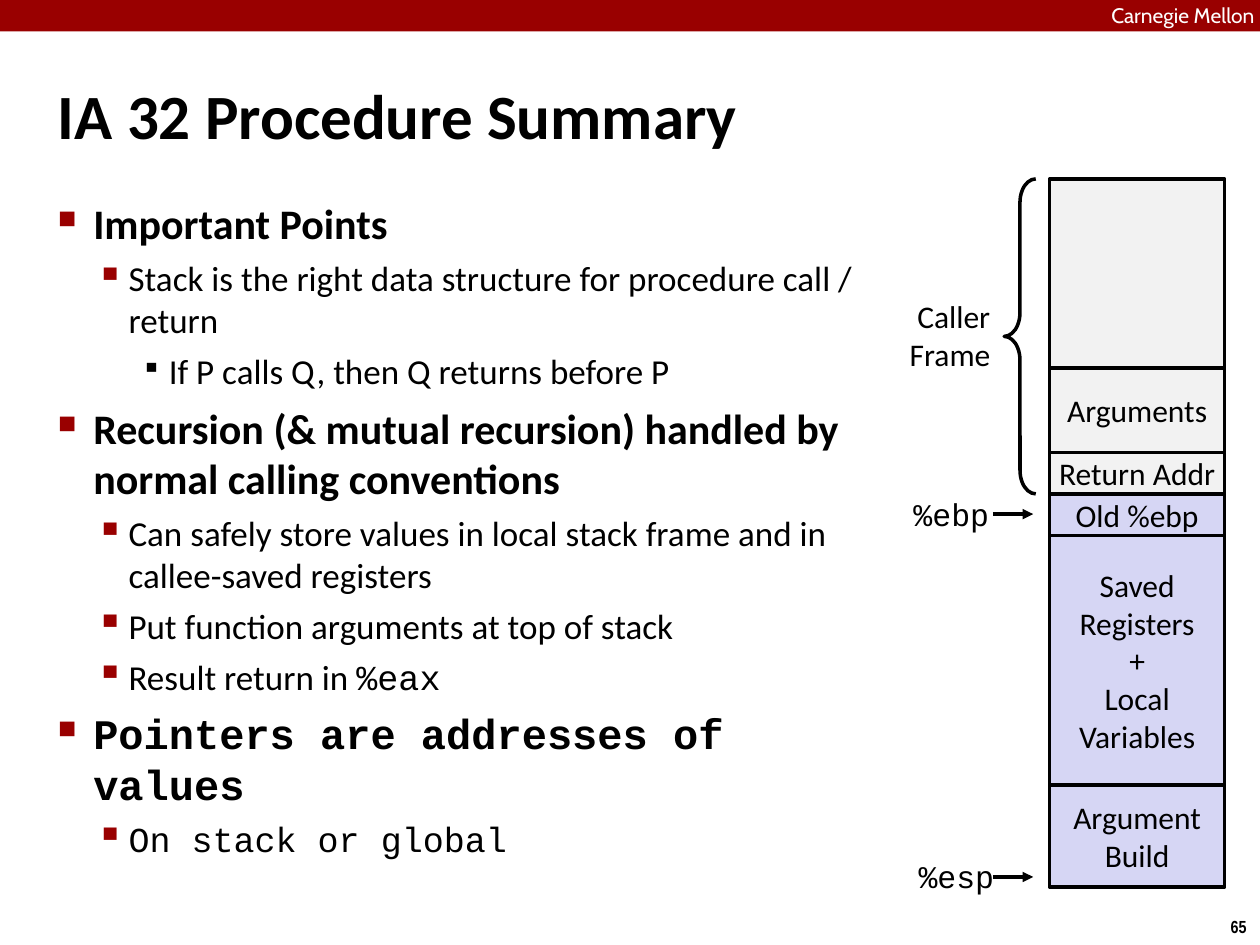
from lxml import etree
from pptx import Presentation
from pptx.dml.color import RGBColor
from pptx.enum import shapes, text
from pptx.oxml import ns
from pptx.util import Inches, Pt

BLACK = RGBColor(0x00, 0x00, 0x00)
WHITE = RGBColor(0xFF, 0xFF, 0xFF)
CRIMSON = RGBColor(0x99, 0x00, 0x00)
CALLER_GRAY = RGBColor(0xF2, 0xF2, 0xF2)
CALLEE_LILAC = RGBColor(0xD6, 0xD6, 0xF4)

SANS = "Calibri"
MONO = "Courier New"
LEFT, CENTER, RIGHT = text.PP_ALIGN.LEFT, text.PP_ALIGN.CENTER, text.PP_ALIGN.RIGHT

# margin, hanging, before, size, bold, character, color, percent
LEVELS = [
    (0.28, 0.28, 6, 24, True, "■", CRIMSON, 60),
    (0.56, 0.26, 5, 20, False, "▪", CRIMSON, 110),
    (0.88, 0.22, 5, 20, False, "▪", BLACK, 80),
]
POINTS = [
    (0, [("Important Points", SANS)]),
    (1, [("Stack is the right data structure for procedure call / return", SANS)]),
    (2, [("If P calls Q, then Q returns before P", SANS)]),
    (0, [("Recursion (& mutual recursion) handled by normal calling conventions", SANS)]),
    (1, [("Can safely store values in local stack frame and in callee-saved registers", SANS)]),
    (1, [("Put function arguments at top of stack", SANS)]),
    (1, [("Result return in ", SANS), ("%eax", MONO)]),
    (0, [("Pointers are addresses of values", MONO)]),
    (1, [("On stack or global", MONO)]),
]
STACK_LEFT, STACK_TOP, STACK_WIDTH = 8.33, 1.42, 1.39
STACK = [
    (1.5, CALLER_GRAY, []),
    (0.67, CALLER_GRAY, ["Arguments"]),
    (0.33, CALLER_GRAY, ["Return Addr"]),
    (0.33, CALLEE_LILAC, ["Old %ebp"]),
    (1.98, CALLEE_LILAC, ["Saved", "Registers", "+", "Local", "Variables"]),
    (0.81, CALLEE_LILAC, ["Argument", "Build"]),
]


def set_font(font, name, size, color=BLACK, bold=False):
    font.name, font.size, font.bold = name, Pt(size), bold
    font.color.rgb = color


def set_frame(frame, margin, anchor=text.MSO_ANCHOR.TOP, wrap=True):
    frame.margin_left = frame.margin_right = Inches(margin)
    frame.margin_top = frame.margin_bottom = Inches(margin)
    frame.vertical_anchor = anchor
    frame.word_wrap = wrap
    frame.auto_size = text.MSO_AUTO_SIZE.NONE


def write_lines(frame, lines, align, name, size, color=BLACK, bold=False):
    for index, line in enumerate(lines):
        para = frame.paragraphs[0] if index == 0 else frame.add_paragraph()
        para.text = line
        para.alignment = align
        set_font(para.font, name, size, color, bold)


def add_label(page, place, lines, align=RIGHT, name=SANS, size=18,
              color=BLACK, bold=False, margin=0.04, wrap=True):
    box = page.shapes.add_textbox(*map(Inches, place))
    set_frame(box.text_frame, margin, wrap=wrap)
    write_lines(box.text_frame, lines, align, name, size, color, bold)


def set_indent(para, margin, hanging):
    properties = para._p.get_or_add_pPr()
    properties.set("marL", str(Inches(margin)))
    properties.set("indent", str(-Inches(hanging)))
    return properties


def add_bullet(properties, character, color, percent):
    holder = etree.SubElement(properties, ns.qn("a:buClr"))
    etree.SubElement(holder, ns.qn("a:srgbClr"), val=str(color))
    etree.SubElement(properties, ns.qn("a:buSzPct"), val=str(percent * 1000))
    etree.SubElement(properties, ns.qn("a:buChar"), char=character)


def add_points(page):
    box = page.shapes.add_textbox(Inches(0.42), Inches(1.53), Inches(6.42), Inches(5.72))
    frame = box.text_frame
    set_frame(frame, 0.04)
    for index, (level, spans) in enumerate(POINTS):
        margin, hanging, before, size, bold, character, color, percent = LEVELS[level]
        para = frame.add_paragraph() if index else frame.paragraphs[0]
        para.level = level
        add_bullet(set_indent(para, margin, hanging), character, color, percent)
        para.space_before = Pt(before if index else 0)
        set_font(para.font, spans[0][1], size, bold=bold)
        for words, name in spans:
            span = para.add_run()
            span.text = words
            if name != spans[0][1]:
                span.font.name = name


def add_block(page, place, fill, line=None):
    block = page.shapes.add_shape(shapes.MSO_SHAPE.RECTANGLE, *map(Inches, place))
    block.shadow.inherit = False
    block.fill.solid()
    block.fill.fore_color.rgb = fill
    if line is None:
        block.line.fill.background()
    else:
        block.line.color.rgb = line
        block.line.width = Pt(2)
    return block


def add_stack(page):
    top = STACK_TOP
    for height, fill, lines in STACK:
        block = add_block(page, (STACK_LEFT, top, STACK_WIDTH, height), fill, BLACK)
        set_frame(block.text_frame, 0, text.MSO_ANCHOR.MIDDLE)
        write_lines(block.text_frame, lines, CENTER, SANS, 18)
        top += height


def add_brace(page):
    height = sum(block[0] for block in STACK[:3])
    brace = page.shapes.add_shape(shapes.MSO_SHAPE.LEFT_BRACE, Inches(7.97),
                                  Inches(STACK_TOP), Inches(0.25), Inches(height))
    brace.adjustments[0] = 0.75
    brace.shadow.inherit = False
    brace.fill.background()
    brace.line.color.rgb = BLACK
    brace.line.width = Pt(2)


def add_pointer(page, register, label_place, y):
    arrow = page.shapes.add_connector(shapes.MSO_CONNECTOR.STRAIGHT, Inches(7.88),
                                      Inches(y), Inches(8.2), Inches(y))
    arrow.line.color.rgb = BLACK
    arrow.line.width = Pt(2)
    etree.SubElement(arrow.line._get_or_add_ln(), ns.qn("a:tailEnd"), type="triangle")
    etree.SubElement(arrow._element.spPr, ns.qn("a:effectLst"))
    add_label(page, label_place, [register], name=MONO)


def add_title(page):
    title = page.shapes.title
    title.left, title.top = Inches(0.42), Inches(0.28)
    title.width, title.height = Inches(9.17), Inches(1.25)
    set_frame(title.text_frame, 0.04, text.MSO_ANCHOR.MIDDLE)
    write_lines(title.text_frame, ["IA 32 Procedure Summary"], LEFT, SANS, 36, bold=True)
    set_indent(title.text_frame.paragraphs[0], 0.13, 0.13)


def main():
    deck = Presentation()
    deck.slide_width, deck.slide_height = Inches(10), Inches(7.5)
    page = deck.slides.add_slide(deck.slide_layouts[5])
    add_block(page, (0, 0, 10, 0.25), CRIMSON)
    add_label(page, (8.82, 0.02, 1.44, 0.19), ["Carnegie Mellon"], LEFT, "Cabin", 12,
              WHITE, margin=0)
    add_title(page)
    add_points(page)
    add_stack(page)
    add_label(page, (7.15, 2.32, 0.75, 0.69), ["Caller", "Frame"], wrap=False)
    add_brace(page)
    add_pointer(page, "%ebp", (6.18, 3.89, 1.71, 0.36), 4.08)
    add_pointer(page, "%esp", (6.31, 6.76, 1.62, 0.36), 6.96)
    add_label(page, (9.66, 7.22, 0.34, 0.27), ["65"], CENTER, "Arial Narrow", 10,
              bold=True, margin=0.05, wrap=False)
    deck.save("out.pptx")


if __name__ == "__main__":
    main()
